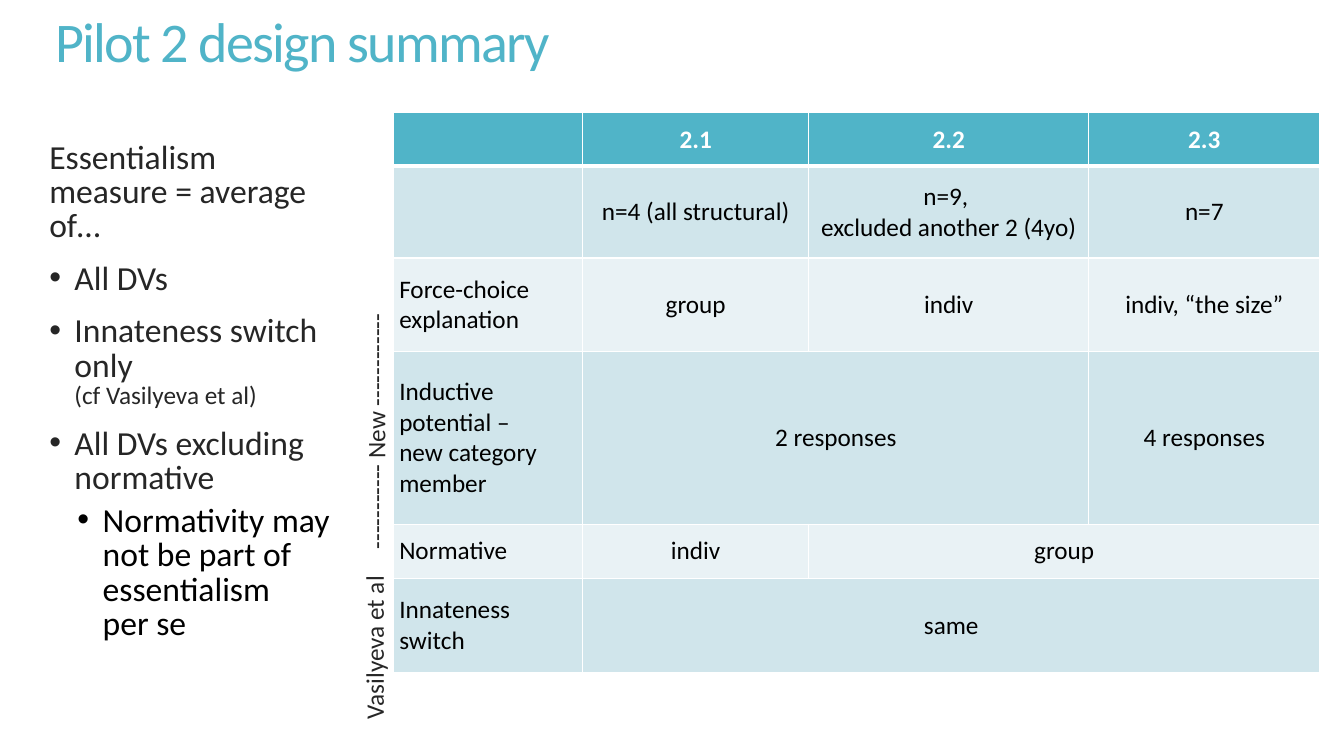
from lxml.etree import SubElement
from pptx import Presentation
from pptx.dml.color import RGBColor
from pptx.enum.text import MSO_ANCHOR as Anchor, PP_ALIGN as Align
from pptx.oxml.ns import qn
from pptx.util import Pt

PX = 9144
FONT = "Calibri"
TEAL, PALE, PALER = "50B4C8", "D0E5EB", "E9F2F5"
WHITE, BLACK, INK = "FFFFFF", "000000", "262626"

COLUMNS = [188, 224, 278, 229]
ROWS = [53, 91, 93, 171, 54, 93]
DESIGN = [
    ["", "2.1", "2.2", "2.3"],
    ["", "n=4 (all structural)", "n=9, \vexcluded another 2 (4yo)", "n=7"],
    ["Force-choice explanation", "group", "indiv", "indiv, “the size”"],
    ["Inductive potential – \vnew category member", "2 responses", "", "4 responses"],
    ["Normative", "indiv", "group", ""],
    ["Innateness switch", "same", "", ""],
]
MERGES = [(3, 1, 2), (4, 2, 3), (5, 1, 3)]
MEASURES = [
    ("Essentialism measure = average of…", None),
    ("All DVs", 25),
    ("Innateness switch only\v(cf Vasilyeva et al)", 25),
    ("All DVs excluding normative", 25),
    ("Normativity may not be part of essentialism \vper se", 53),
]


def px(length):
    """Turn px into EMU."""
    return round(length * PX)


def color(hex_string):
    """Turn a hex string into a colour."""
    return RGBColor.from_string(hex_string)


def style(paragraph, size, ink, bold=False):
    """Format every run of a paragraph."""
    for run in paragraph.runs:
        run.font.name = FONT
        run.font.size = Pt(size)
        run.font.bold = bold
        run.font.color.rgb = color(ink)


def add_frame(slide, box):
    """Add a wrapping text box and return its text frame."""
    holder = slide.shapes.add_textbox(*map(px, box))
    holder.text_frame.word_wrap = True
    return holder, holder.text_frame


def add_title(slide, box):
    """Write the slide title with tightened letters."""
    _, frame = add_frame(slide, box)
    frame.vertical_anchor = Anchor.MIDDLE
    heading = frame.paragraphs[0]
    heading.text = "Pilot 2 design summary"
    heading.line_spacing = 0.85
    style(heading, 40, TEAL)
    heading.runs[0]._r.get_or_add_rPr().set("spc", "-120")


def add_measures(slide, box):
    """Write the list of essentialism measures."""
    _, frame = add_frame(slide, box)
    for index, (wording, indent) in enumerate(MEASURES):
        measure = frame.paragraphs[0] if index == 0 else frame.add_paragraph()
        measure.text = wording
        measure.line_spacing = 0.85
        nested = indent == 53
        measure.level = int(nested)
        measure.space_before = Pt(6 if nested else 13)
        style(measure, 24, BLACK if nested else INK)
        if "(cf" in wording:
            measure.runs[-1].font.size = Pt(18)
        if indent:
            properties = measure._p.get_or_add_pPr()
            properties.set("marL", str(px(indent)))
            properties.set("indent", str(px(-25)))
            SubElement(properties, qn("a:buFont"), typeface="Arial")
            SubElement(properties, qn("a:buChar"), char="•")


def add_side_label(slide, box, wording):
    """Write a label that reads upwards beside the table."""
    holder, frame = add_frame(slide, box)
    holder.rotation = 270
    label = frame.paragraphs[0]
    label.text = wording
    label.alignment = Align.CENTER
    label.line_spacing = 0.85
    label.space_before = Pt(13)
    style(label, 18, INK)


def add_borders(cell, row):
    """Draw white cell borders, thick under the header."""
    properties = cell._tc.get_or_add_tcPr()
    for side in "LRTB":
        thick = (row, side) in [(0, "B"), (1, "T")]
        line = SubElement(properties, qn(f"a:ln{side}"), w=str(Pt(3 if thick else 1)))
        fill = SubElement(line, qn("a:solidFill"))
        SubElement(fill, qn("a:srgbClr"), val=WHITE)


def add_design_table(slide, box):
    """Build the table that compares the three designs."""
    table = slide.shapes.add_table(len(ROWS), len(COLUMNS), *map(px, box)).table
    for column, width in zip(table.columns, COLUMNS):
        column.width = px(width)
    for row, height in zip(table.rows, ROWS):
        row.height = px(height)
    for r, wordings in enumerate(DESIGN):
        for c, wording in enumerate(wordings):
            cell = table.cell(r, c)
            add_borders(cell, r)
            cell.fill.solid()
            cell.fill.fore_color.rgb = color(TEAL if r == 0 else PALE if r % 2 else PALER)
            cell.vertical_anchor = Anchor.MIDDLE
            entry = cell.text_frame.paragraphs[0]
            entry.text = wording
            entry.alignment = Align.CENTER if c else Align.LEFT
            style(entry, 18, BLACK if r else WHITE, bold=r == 0)
            if c == 0 and wording:
                cell.margin_left = cell.margin_right = px(6)
                cell.margin_top = cell.margin_bottom = px(6)
    for r, first, last in MERGES:
        table.cell(r, first).merge(table.cell(r, last))


def main():
    """Build the slide and save it."""
    deck = Presentation()
    deck.slide_width, deck.slide_height = px(1333), px(750)
    slide = deck.slides.add_slide(deck.slide_layouts[6])
    add_title(slide, (45, -45, 1178, 181))
    add_design_table(slide, (390, 112, sum(COLUMNS), sum(ROWS)))
    add_side_label(slide, (242, 411, 264, 34), "----------- New ------------")
    add_side_label(slide, (288, 625, 170, 35), "Vasilyeva et al")
    add_measures(slide, (39, 136, 309, 554))
    deck.save("out.pptx")


if __name__ == "__main__":
    main()
